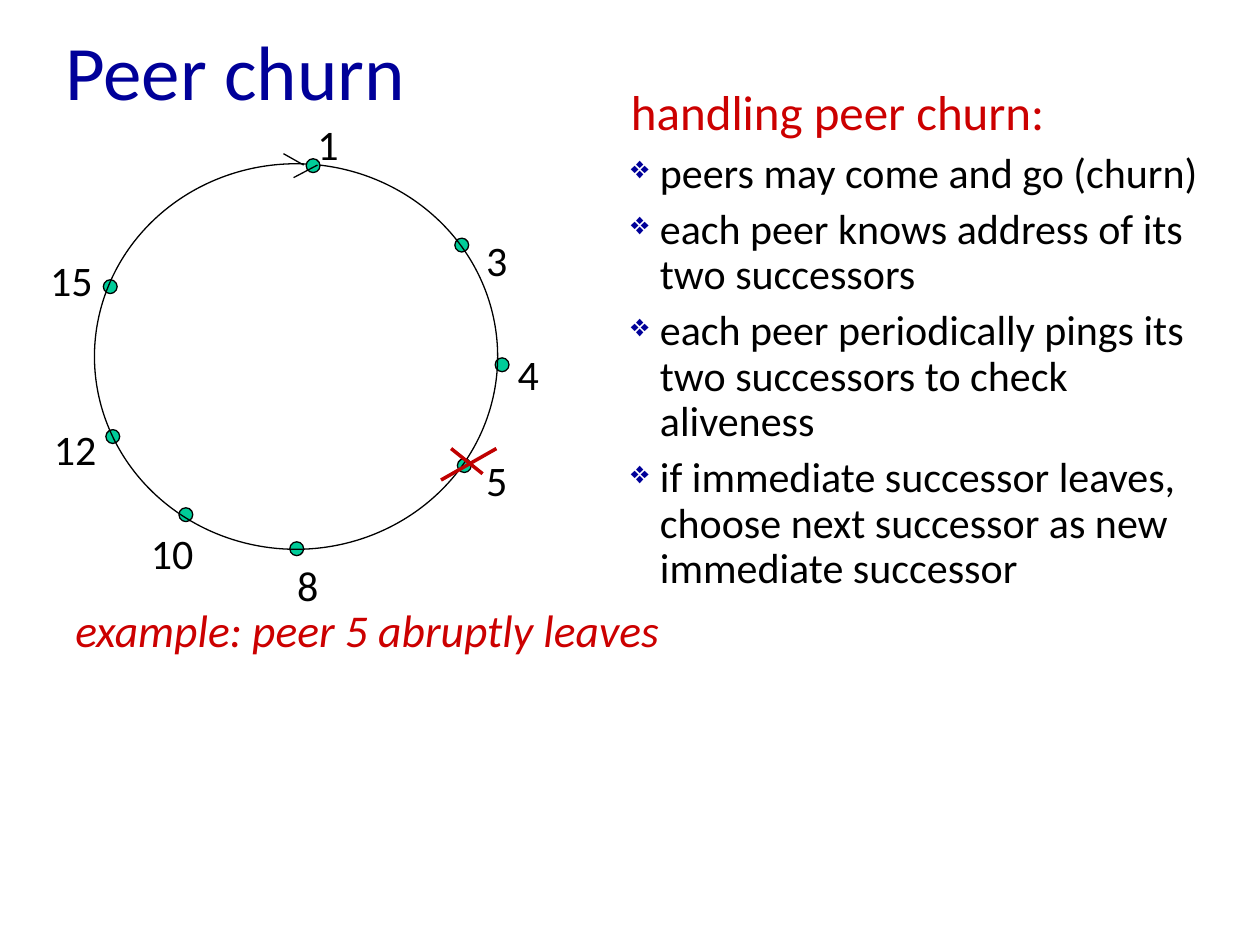
import dataclasses
import pptx
import pptx.util
import pptx.dml.color
import pptx.enum.shapes
import pptx.enum.text
import pptx.oxml.ns
import lxml.etree

COLS, ROWS = 10, 7.5
CELL = pptx.util.Inches(1)  # side of one square grid cell
DOT = 0.11
INK = {"title": "000099", "red": "CC0000", "cross": "C00000",
       "black": "000000", "peer": "00CC99"}
Pt = pptx.util.Pt


@dataclasses.dataclass
class Box:
    col: float
    row: float
    wide: float
    high: float

    def size(self) -> list[int]:
        return [grid(v) for v in (self.col, self.row, self.wide, self.high)]


@dataclasses.dataclass
class Peer:
    name: str
    dot: tuple[float, float]
    tag: tuple[float, float]


@dataclasses.dataclass
class Stroke:
    start: tuple[float, float]
    end: tuple[float, float]
    ink: str = "black"
    width: float = 0.75


PEERS = [
    Peer("1", (2.43, 1.26), (2.42, 0.89)),
    Peer("3", (3.61, 1.89), (3.76, 1.81)),
    Peer("4", (3.93, 2.84), (4.01, 2.72)),
    Peer("5", (3.63, 3.64), (3.76, 3.56)),
    Peer("8", (2.3, 4.3), (2.26, 4.39)),
    Peer("10", (1.42, 4.03), (1.1, 4.14)),
    Peer("12", (0.84, 3.41), (0.33, 3.31)),
    Peer("15", (0.82, 2.22), (0.3, 1.97)),
]
STROKES = [
    Stroke((2.25, 1.22), (2.41, 1.31)),
    Stroke((2.52, 1.31), (2.33, 1.41)),
    Stroke((3.58, 3.56), (3.83, 3.76), "cross", 2),
    Stroke((3.94, 3.56), (3.5, 3.81), "cross", 2),
]
POINTS = [
    "peers may come and go (churn)",
    "each peer knows address of its two successors",
    "each peer periodically pings its \vtwo successors to check aliveness",
    "if immediate successor leaves, choose next successor as new immediate successor",
]


def grid(cells: float) -> int:
    return round(cells * CELL)


def color(name: str) -> pptx.dml.color.RGBColor:
    return pptx.dml.color.RGBColor.from_string(INK[name])


def style(para, size: float, ink: str, slant: bool = False) -> None:
    for run in para.runs:
        font = run.font
        font.name, font.size = "Calibri", Pt(size)
        font.color.rgb = color(ink)
        if slant:
            font.italic = True


def text(slide, box: Box, words: str, size: float, ink: str = "black",
         wrap: bool = True, slant: bool = False):
    frame = slide.shapes.add_textbox(*box.size()).text_frame
    frame.word_wrap = wrap
    frame.text = words
    style(frame.paragraphs[0], size, ink, slant)
    return frame


def oval(slide, box: Box, fill: str = "") -> None:
    shape = slide.shapes.add_shape(
        pptx.enum.shapes.MSO_SHAPE.OVAL, *box.size())
    shape.shadow.inherit = False
    if fill:
        shape.fill.solid()
        shape.fill.fore_color.rgb = color(fill)
    else:
        shape.fill.background()
    shape.line.color.rgb = color("black")
    shape.line.width = Pt(0.75)


def dot(slide, peer: Peer) -> None:
    oval(slide, Box(*peer.dot, DOT, DOT), "peer")


def line(slide, stroke: Stroke) -> None:
    ends = [grid(v) for v in (*stroke.start, *stroke.end)]
    link = slide.shapes.add_connector(
        pptx.enum.shapes.MSO_CONNECTOR.STRAIGHT, *ends)
    link.line.color.rgb = color(stroke.ink)
    link.line.width = Pt(stroke.width)
    lxml.etree.SubElement(link._element.spPr, pptx.oxml.ns.qn("a:effectLst"))


def bullet(para) -> None:
    """Hang the paragraph on a blue diamond bullet."""
    props = para._p.get_or_add_pPr()
    props.set("marL", str(grid(0.23)))
    props.set("indent", str(-grid(0.23)))
    qn = pptx.oxml.ns.qn
    tint = lxml.etree.SubElement(props, qn("a:buClr"))
    lxml.etree.SubElement(tint, qn("a:srgbClr"), val=INK["title"])
    lxml.etree.SubElement(props, qn("a:buSzPct"), val="75000")
    lxml.etree.SubElement(props, qn("a:buChar"), char="❖")


def ring(slide) -> None:
    first, *rest = PEERS
    for peer in rest:
        dot(slide, peer)
    oval(slide, Box(0.75, 1.3, 3.2, 3.06))
    for peer in PEERS:
        wide = 0.2 + 0.17 * len(peer.name)
        text(slide, Box(*peer.tag, wide, 0.5), peer.name, 24, wrap=False)
    dot(slide, first)
    for stroke in STROKES:
        line(slide, stroke)


def notes(slide) -> None:
    """Write the heading and the bullet points on the right."""
    frame = text(slide, Box(4.91, 0.6, 4.84, 5.72),
                 "handling peer churn:", 28, "red")
    for point in POINTS:
        para = frame.add_paragraph()
        para.text = point
        para.line_spacing, para.space_before = Pt(26), Pt(6)
        bullet(para)
        style(para, 24, "black")


def main() -> None:
    deck = pptx.Presentation()
    deck.slide_width, deck.slide_height = grid(COLS), grid(ROWS)
    slide = deck.slides.add_slide(deck.slide_layouts[6])
    title = text(slide, Box(0.42, 0, 9, 1.11), "Peer churn", 44, "title")
    title.vertical_anchor = pptx.enum.text.MSO_ANCHOR.MIDDLE
    case = text(slide, Box(0.5, 4.78, 9, 2.33),
                "example: peer 5 abruptly leaves", 26, "red", slant=True)
    case.paragraphs[0].line_spacing = 0.9
    ring(slide)
    notes(slide)
    deck.save("out.pptx")


if __name__ == "__main__":
    main()
